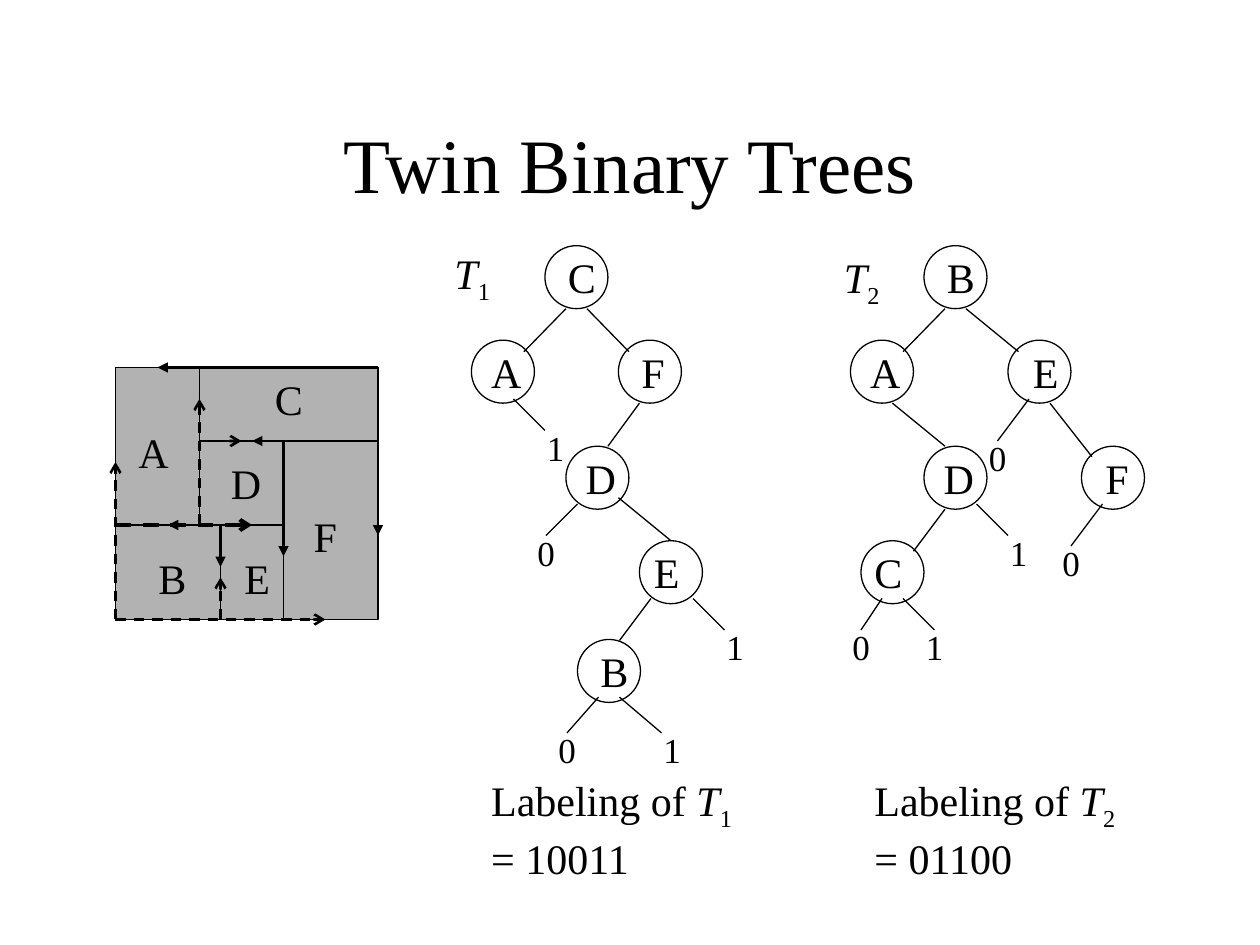
from dataclasses import dataclass

from lxml.etree import SubElement
from pptx import Presentation
from pptx.dml.color import RGBColor
from pptx.enum.dml import MSO_LINE
from pptx.enum.shapes import MSO_CONNECTOR, MSO_SHAPE
from pptx.enum.text import MSO_ANCHOR, MSO_AUTO_SIZE, PP_ALIGN
from pptx.oxml.ns import qn
from pptx.util import Cm, Pt


@dataclass(frozen=True)
class Theme:
    ink: RGBColor = RGBColor(0, 0, 0)
    floor: RGBColor = RGBColor(0xB2, 0xB2, 0xB2)
    font: str = "Times New Roman"
    title: int = 44
    body: int = 24
    leaf: int = 20
    thin: float = 0.75
    bold: float = 1.5
    heavy: float = 2.25


THEME = Theme()
UNIT = 2.54 / 12  # all places below are counted on this grid
NODE = 6
WIDTHS = {"A": 5.3, "B": 5, "C": 5, "D": 5.3, "E": 4.8, "F": 4.6}

# Floorplan: room labels, walls, then the arrows of each tree
ROOMS = [("A", 12, 40), ("B", 13.9, 52), ("C", 25, 35),
         ("D", 20.8, 43), ("E", 22.1, 52), ("F", 28.7, 48)]
WALLS = [(19, 35, 19, 50), (19, 42, 36, 42), (27, 42, 27, 59),
         (11, 50, 27, 50), (21, 50, 21, 59)]
SOLID = [(36, 35, 15, 35), (36, 35, 36, 51), (36, 42, 24, 42),
         (27, 42, 27, 53), (27, 50, 16, 50), (21, 50, 21, 54)]
DASHED = [(11, 59, 11, 44), (11, 59, 31, 59), (19, 50, 19, 38),
          (21, 59, 21, 55), (19, 42, 23, 42)]
SHARED = (11, 50, 24, 50)

# Each tree: nodes (letter, x, y, label inset), edges, leaves (digit, line, label shift)
TREES = [
    dict(sub="1", code="10011", name=(42.1, 23), note=45.6,
         nodes=[("C", 51.9, 23.4, 1), ("A", 44.9, 32.4, 0.7), ("F", 58.9, 32.4, 1),
                ("D", 53.9, 42.5, 0.7), ("E", 60.9, 51.5, 0.2), ("B", 55, 60.9, 1)],
         edges=[(53.9, 29.4, 49.9, 33.5), (55.9, 29.4, 59.9, 33.5),
                (60.9, 38.4, 57.9, 42.5), (58.9, 47.4, 63.9, 51.5),
                (62, 57, 59, 61)],
         leaves=[("1", (48.9, 38, 51.9, 41), 1), ("0", (55, 48, 52, 51), 2),
                 ("1", (66, 57, 69, 60), 1), ("0", (57, 66.4, 54, 69.8), 2),
                 ("1", (59, 66.4, 63, 69.8), 1)]),
    dict(sub="2", code="01100", name=(79.2, 23.4), note=82.1,
         nodes=[("B", 88, 23.4, 1), ("A", 81, 32.4, 0.7), ("E", 96, 32.4, 1.2),
                ("D", 88, 42.5, 0.7), ("F", 103, 42.5, 1.1), ("C", 82, 51.5, 0.1)],
         edges=[(90, 29.4, 86, 33.5), (92, 29.4, 97, 33.5), (85, 38.4, 90, 42.5),
                (100, 38.4, 104, 43.5), (90, 48.5, 87, 52.5)],
         leaves=[("0", (84, 57, 82, 60), 2), ("1", (86, 57, 89, 60), 2),
                 ("1", (93, 48, 96, 51), 1), ("0", (98, 38, 95, 42), 2),
                 ("0", (105, 48, 102, 52), 2)]),
]


def grid(*steps):
    return [Cm(step * UNIT) for step in steps]


def style(run, size):
    font = run.font
    font.name, font.size = THEME.font, Pt(size)
    font.color.rgb = THEME.ink


def label(slide, text, x, y, wide, high, size=THEME.body):
    frame = slide.shapes.add_textbox(*grid(x, y, wide, high)).text_frame
    frame.word_wrap = False
    frame.auto_size = MSO_AUTO_SIZE.SHAPE_TO_FIT_TEXT
    frame.text = text
    for run in frame.paragraphs[0].runs:
        style(run, size)
    return frame


def tree_name(para, sub):
    """Append an italic T with a subscript."""
    for text in ("T", sub):
        run = para.add_run()
        run.text = text
        style(run, THEME.body)
        run.font.italic = text == "T"
    run.font._element.set("baseline", "-25000")


def line(slide, ends, width=THEME.thin, head=None, dash=False):
    link = slide.shapes.add_connector(MSO_CONNECTOR.STRAIGHT, *grid(*ends))
    link.line.color.rgb = THEME.ink
    link.line.width = Pt(width)
    if dash:
        link.line.dash_style = MSO_LINE.DASH
    props = link._element.spPr
    if head:
        SubElement(props.find(qn("a:ln")), qn("a:tailEnd"), type=head)
    SubElement(props, qn("a:effectLst"))


def shape(slide, kind, box, fill=None):
    item = slide.shapes.add_shape(kind, *grid(*box))
    item.shadow.inherit = False
    if fill is None:
        item.fill.background()
    else:
        item.fill.solid()
        item.fill.fore_color.rgb = fill
    item.line.color.rgb = THEME.ink
    item.line.width = Pt(THEME.thin)


def title(slide, text):
    frame = label(slide, text, 9, 8, 102, 15, THEME.title)
    frame.auto_size = MSO_AUTO_SIZE.NONE
    frame.word_wrap = True
    frame.vertical_anchor = MSO_ANCHOR.MIDDLE
    frame.paragraphs[0].alignment = PP_ALIGN.CENTER


def floorplan(slide):
    shape(slide, MSO_SHAPE.RECTANGLE, (11, 35, 25, 24), THEME.floor)
    for ends in WALLS:
        line(slide, ends)
    for room, x, y in ROOMS:
        label(slide, room, x, y, WIDTHS[room], NODE)
    for ends in SOLID:
        line(slide, ends, THEME.bold, "triangle")
    for ends in DASHED:
        line(slide, ends, THEME.bold, "arrow", dash=True)
    line(slide, SHARED, THEME.heavy, "arrow", dash=True)


def tree(slide, sub, code, name, note, nodes, edges, leaves):
    for letter, x, y, inset in nodes:
        shape(slide, MSO_SHAPE.OVAL, (x, y, NODE, NODE))
        label(slide, letter, x + inset, y, WIDTHS[letter], NODE)
    for ends in edges:
        line(slide, ends)
    for digit, ends, shift in leaves:
        line(slide, ends)
        x, y = ends[2:]
        label(slide, digit, x - shift, y - 1, 4.1, 5.3, THEME.leaf)
    tree_name(label(slide, "", *name, 5.8, 6.7).paragraphs[0], sub)
    frame = label(slide, "Labeling of ", note, 73.2, 25.3, 11.5)
    tree_name(frame.paragraphs[0], sub)
    para = frame.add_paragraph()
    para.text = f"= {code}"
    style(para.runs[0], THEME.body)


def main():
    deck = Presentation()
    deck.slide_width, deck.slide_height = Cm(25.4), Cm(19.05)
    slide = deck.slides.add_slide(deck.slide_layouts[6])
    title(slide, "Twin Binary Trees")
    floorplan(slide)
    for parts in TREES:
        tree(slide, **parts)
    deck.save("out.pptx")


if __name__ == "__main__":
    main()
